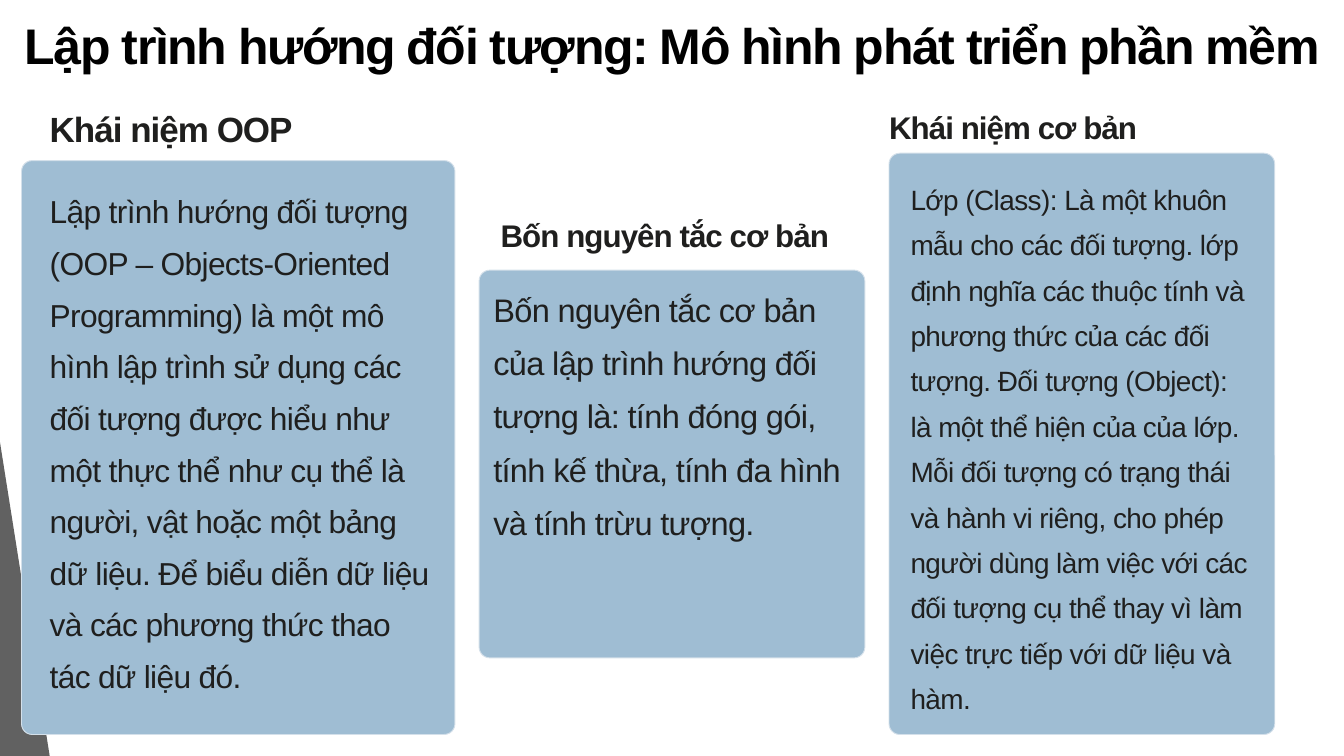
from pptx import Presentation as Deck
from pptx.dml.color import RGBColor as Rgb
from pptx.enum.shapes import MSO_SHAPE as Kind
from pptx.enum.text import MSO_ANCHOR as Anchor, PP_ALIGN as Align
from pptx.oxml.ns import qn
from pptx.util import Inches, Pt
from lxml.etree import SubElement as Sub

HUES = {"black": "000000", "ink": "1F1F1E", "panel": "9FBDD3", "edge": "D4E0EA"}
COLS, ROWS = 200, 112.5
CELL = Inches(0.1)


class Pen:
    """Draws styled elements on a slide, with places given in grid columns and rows."""

    def __init__(self, slide, face="Arial"):
        self.slide = slide
        self.face = face

    def hue(self, name):
        return Rgb.from_string(HUES[name])

    def grid(self, *cells):
        return [int(n * CELL) for n in cells]

    def wedge(self, points, fill, alpha):
        (x, y), *rest = [self.grid(*point) for point in points]
        path = self.slide.shapes.build_freeform(x, y)
        path.add_line_segments(rest, close=True)
        shape = path.convert_to_shape()
        shape.shadow.inherit = False
        shape.line.fill.background()
        shape.fill.solid()
        shape.fill.fore_color.rgb = self.hue(fill)
        tint = shape._element.spPr.find(".//" + qn("a:srgbClr"))
        Sub(tint, qn("a:alpha"), val=str(alpha * 1000))

    def panel(self, box, curve=1.6):
        shape = self.slide.shapes.add_shape(Kind.ROUNDED_RECTANGLE, *self.grid(*box))
        shape.adjustments[0] = curve / min(box[2:])
        shape.shadow.inherit = False
        shape.fill.solid()
        shape.fill.fore_color.rgb = self.hue("panel")
        shape.line.color.rgb = self.hue("edge")
        shape.line.width = Pt(1)

    def text(self, words, box, size, lead, track, bold=False, hue="ink"):
        frame = self.slide.shapes.add_textbox(*self.grid(*box)).text_frame
        frame.word_wrap = True
        frame.vertical_anchor = Anchor.TOP
        frame.margin_left = frame.margin_right = 0
        frame.margin_top = frame.margin_bottom = 0
        frame.text = words
        para = frame.paragraphs[0]
        para.alignment = Align.LEFT
        para.line_spacing = Pt(lead)
        run = para.runs[0]
        run.font.name = self.face
        run.font.size = Pt(size)
        run.font.bold = bold
        run.font.color.rgb = self.hue(hue)
        run._r.get_or_add_rPr().set("spc", str(round(track * 100)))

    def card(self, panel, head, body):
        self.panel(panel)
        self.text(*head, bold=True)
        self.text(*body)


CARDS = [
    (
        (3.2, 23.9, 64.5, 85.4),
        ("Khái niệm OOP", (7.4, 15.8, 38.8, 7.1), 37.5, 46.9, -1.1),
        (
            "Lập trình hướng đối tượng (OOP – Objects-Oriented Programming) là một mô "
            "hình lập trình sử dụng các đối tượng được hiểu như một thực thể như cụ thể "
            "là người, vật hoặc một bảng dữ liệu. Để biểu diễn dữ liệu và các phương "
            "thức thao tác dữ liệu đó.",
            (7.4, 26.6, 56.8, 76.3), 34, 55.3, -0.7,
        ),
    ),
    (
        (71.3, 40.2, 57.4, 57.7),
        ("Bốn nguyên tắc cơ bản", (74.5, 31.9, 51, 6.3), 33.5, 41.9, -1),
        (
            "Bốn nguyên tắc cơ bản của lập trình hướng đối tượng là: tính đóng gói, "
            "tính kế thừa, tính đa hình và tính trừu tượng.",
            (73.4, 41.1, 54.2, 39.5), 34.9, 56.9, -0.7,
        ),
    ),
    (
        (132.3, 22.8, 57.4, 86.5),
        ("Khái niệm cơ bản", (132.3, 15.9, 38.8, 6.3), 33.5, 41.9, -1),
        (
            "Lớp (Class): Là một khuôn mẫu cho các đối tượng. lớp định nghĩa các thuộc "
            "tính và phương thức của các đối tượng. Đối tượng (Object): là một thể hiện "
            "của của lớp. Mỗi đối tượng có trạng thái và hành vi riêng, cho phép người "
            "dùng làm việc với các đối tượng cụ thể thay vì làm việc trực tiếp với dữ "
            "liệu và hàm.",
            (135.5, 25.4, 51, 80.2), 29.9, 48.6, -0.6,
        ),
    ),
]


def main():
    deck = Deck()
    deck.slide_width, deck.slide_height = int(COLS * CELL), int(ROWS * CELL)
    pen = Pen(deck.slides.add_slide(deck.slide_layouts[6]))
    pen.wedge([(0, ROWS), (0, 65.8), (7.4, ROWS)], "ink", 70)
    pen.text(
        "Lập trình hướng đối tượng: Mô hình phát triển phần mềm",
        (3.7, 1.8, 193.7, 10.4), 53.6, 66.9, -1.6, bold=True, hue="black",
    )
    for card in CARDS:
        pen.card(*card)
    deck.save("out.pptx")


if __name__ == "__main__":
    main()
